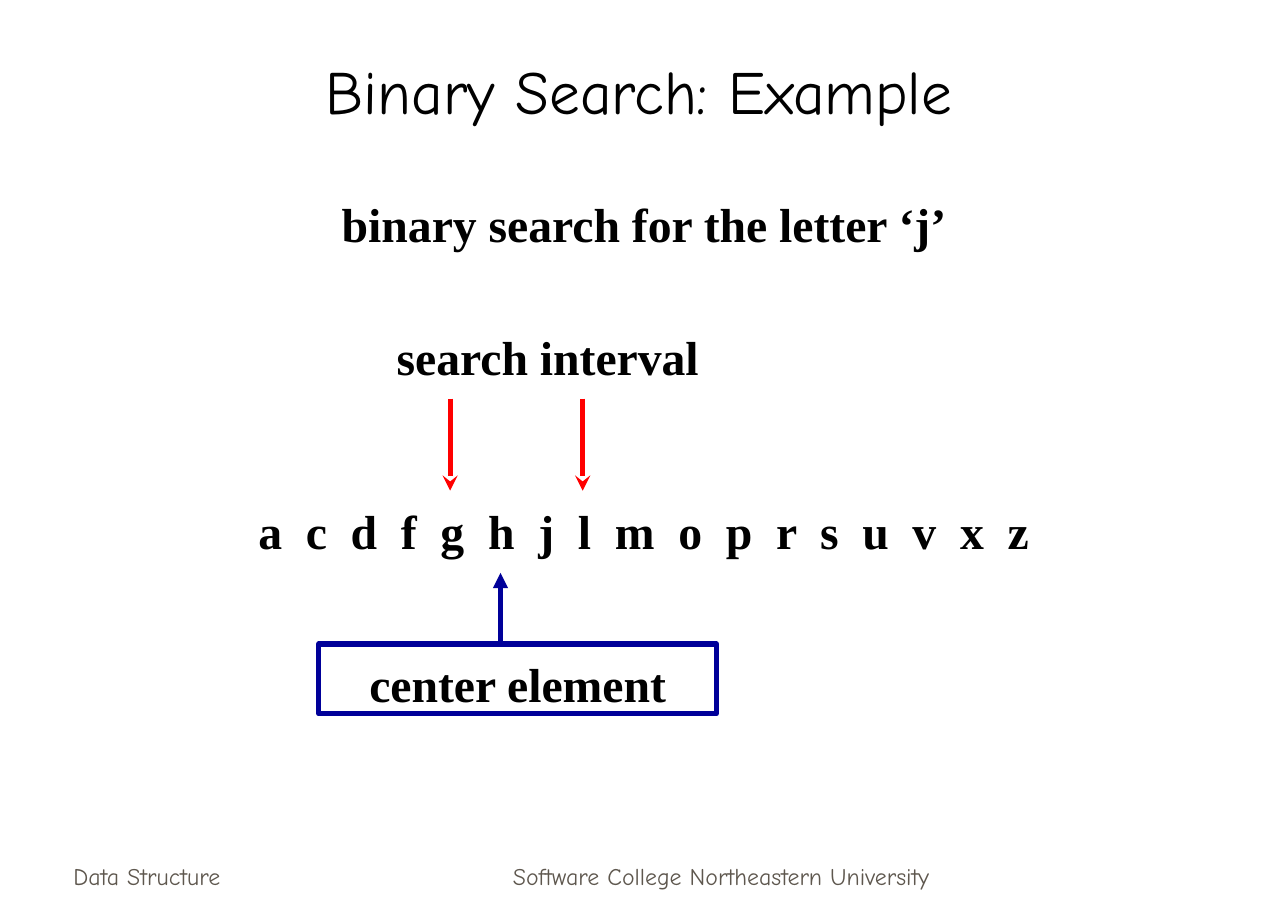
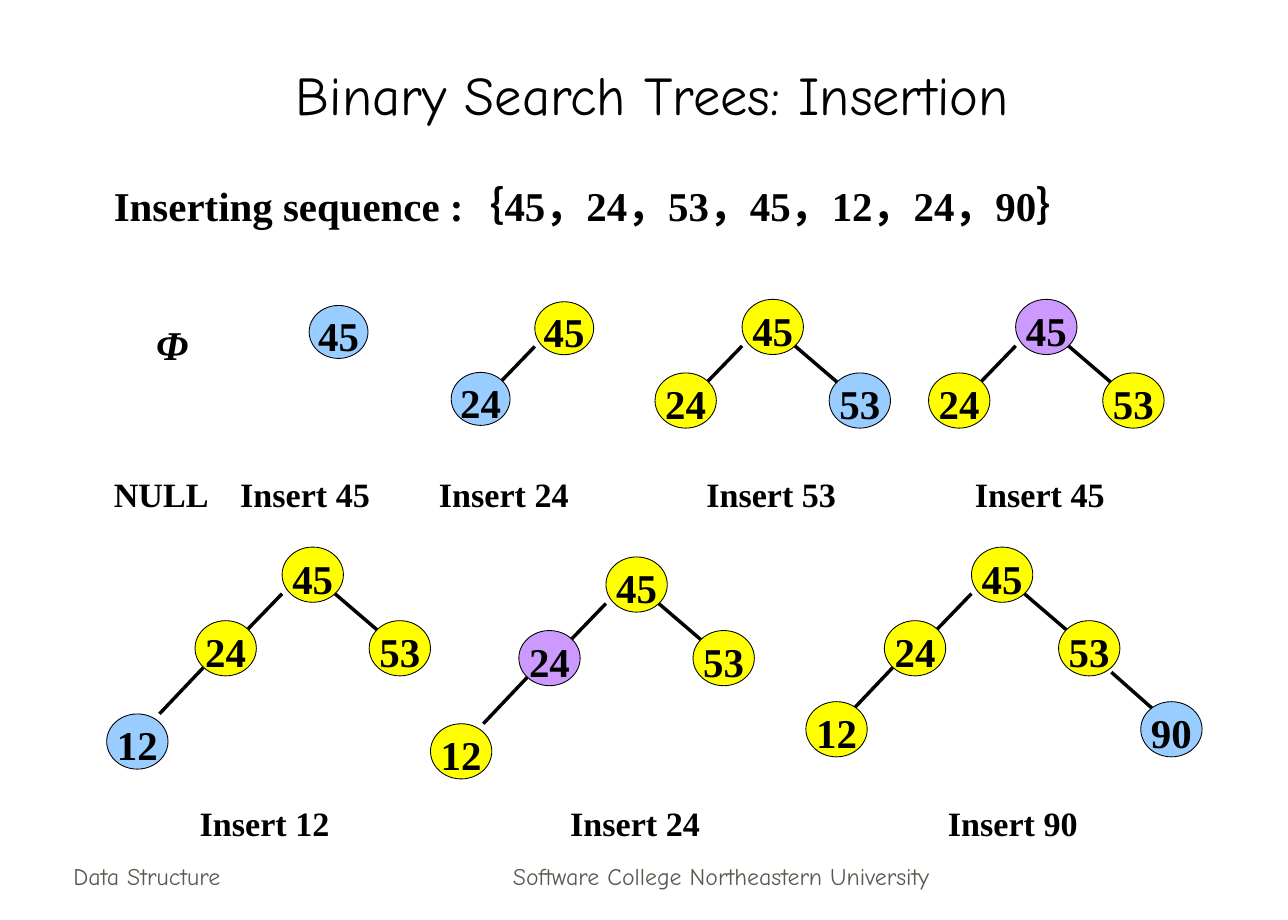
from lxml import etree
from pptx import Presentation
from pptx.dml.color import RGBColor
from pptx.enum.shapes import MSO_CONNECTOR, MSO_SHAPE
from pptx.enum.text import MSO_ANCHOR as ANCHOR, MSO_AUTO_SIZE, PP_ALIGN as ALIGN
from pptx.oxml.ns import qn
from pptx.util import Inches, Pt

BLACK = RGBColor(0x00, 0x00, 0x00)
GRAY = RGBColor(0x5E, 0x57, 0x4E)
RED = RGBColor(0xFF, 0x00, 0x00)
NAVY = RGBColor(0x00, 0x00, 0x99)
YELLOW = RGBColor(0xFF, 0xFF, 0x00)
BLUE = RGBColor(0x99, 0xCC, 0xFF)
PURPLE = RGBColor(0xCC, 0x99, 0xFF)

HAND = "Comic Neue"
SERIF = "Times New Roman"

# Tree positions, measured from the root's top left corner
NODE_SIZE = (0.5, 0.45)
SPOTS = {"root": (0, 0), "left": (-0.71, 0.6), "right": (0.71, 0.6),
         "far left": (-1.43, 1.36), "near left": (-1.35, 1.26),
         "far right": (1.38, 1.26)}
LOWER_LEFT_EDGE = (-0.64, 0.98, -1, 1.36)
EDGES = {"left": (0, 0.38, -0.29, 0.68), "right": (0.43, 0.38, 0.78, 0.68),
         "far left": LOWER_LEFT_EDGE, "near left": LOWER_LEFT_EDGE,
         "far right": (1.14, 1.02, 1.49, 1.33)}


def write(frame, text, size=24, font=SERIF, color=BLACK, bold=True, italic=False,
          align=ALIGN.CENTER, anchor=ANCHOR.TOP, wrap=True, top=0.05, bottom=0.05,
          tabs=(), spacing=0):
    """Fill a text frame with one formatted paragraph."""
    frame.auto_size = MSO_AUTO_SIZE.NONE
    frame.word_wrap = wrap
    frame.vertical_anchor = anchor
    frame.margin_top, frame.margin_bottom = Inches(top), Inches(bottom)
    paragraph = frame.paragraphs[0]
    paragraph.alignment = align
    if tabs:
        stops = etree.SubElement(paragraph._p.get_or_add_pPr(), qn("a:tabLst"))
        for stop in tabs:
            etree.SubElement(stops, qn("a:tab"), pos=str(Inches(stop)), algn="l")
    run = paragraph.add_run()
    run.text = text
    run.font.name, run.font.size = font, Pt(size)
    run.font.bold, run.font.italic = bold, italic
    run.font.color.rgb = color
    if spacing:
        run._r.get_or_add_rPr().set("spc", str(int(spacing * 100)))


class Deck:
    """Shared style and the slide being built."""

    def __init__(self):
        self.prs = Presentation()
        self.prs.slide_width, self.prs.slide_height = Inches(10.5), Inches(7.5)
        self.slide = None

    def new_slide(self, title, box, size):
        self.slide = self.prs.slides.add_slide(self.prs.slide_layouts[5])
        self.text(0.5, 6.81, 2.19, 0.5, "Data Structure", size=14, font=HAND,
                  color=GRAY, bold=False, align=ALIGN.LEFT, anchor=ANCHOR.BOTTOM)
        self.text(3.59, 6.81, 4.58, 0.5, "Software College Northeastern University",
                  size=14, font=HAND, color=GRAY, bold=False, anchor=ANCHOR.BOTTOM)
        heading = self.slide.shapes.title
        heading.left, heading.top, heading.width, heading.height = map(Inches, box)
        write(heading.text_frame, title, size=size, font=HAND, bold=False,
              anchor=ANCHOR.BOTTOM)

    def text(self, x, y, w, h, words, **fmt):
        box = self.slide.shapes.add_textbox(*map(Inches, (x, y, w, h)))
        write(box.text_frame, words, **fmt)

    def shape(self, kind, x, y, w, h, words, fill, line, width, **fmt):
        shape = self.slide.shapes.add_shape(kind, *map(Inches, (x, y, w, h)))
        shape.shadow.inherit = False
        if fill is None:
            shape.fill.background()
        else:
            shape.fill.solid()
            shape.fill.fore_color.rgb = fill
        shape.line.color.rgb, shape.line.width = line, Pt(width)
        write(shape.text_frame, words, **fmt)

    def line(self, x1, y1, x2, y2, color=BLACK, width=2, head=None):
        line = self.slide.shapes.add_connector(
            MSO_CONNECTOR.STRAIGHT, *map(Inches, (x1, y1, x2, y2)))
        line.line.color.rgb, line.line.width = color, Pt(width)
        if head:
            etree.SubElement(line.line._get_or_add_ln(), qn("a:tailEnd"), type=head)
        etree.SubElement(line._element.spPr, qn("a:effectLst"))

    def tree(self, x, y, nodes, scale=1):
        """Draw the edges, then the nodes: {spot: (key, fill)}."""
        for spot in nodes:
            if spot in EDGES:
                x1, y1, x2, y2 = (scale * d for d in EDGES[spot])
                self.line(x + x1, y + y1, x + x2, y + y2)
        w, h = (scale * side for side in NODE_SIZE)
        for spot, (key, fill) in nodes.items():
            dx, dy = (scale * d for d in SPOTS[spot])
            self.shape(MSO_SHAPE.OVAL, x + dx, y + dy, w, h, key, fill, BLACK, 0.5,
                       anchor=ANCHOR.MIDDLE, wrap=False, top=0.05, bottom=0)

    def captions(self, x, y, labels, tabs):
        self.text(x, y, 9, 0.55, "\t".join(labels), size=20, align=ALIGN.LEFT,
                  anchor=ANCHOR.MIDDLE, tabs=tabs)


def search_slide(deck):
    deck.new_slide("Binary Search: Example", (0.75, 0.33, 8.92, 0.75), 36)
    label = dict(size=28, top=0.09)
    deck.text(0.96, 1.5, 8.58, 0.57, "binary search for the letter ‘j’", **label)
    deck.text(0.96, 4, 8.58, 0.57, " ".join("acdfghjlmoprsuvxz"), spacing=3.5, **label)

    # Search interval
    deck.text(2.89, 2.58, 3.15, 0.57, "search interval", **label)
    for bound in (3.67, 4.75):
        deck.line(bound, 3.25, bound, 4, RED, 3, "stealth")

    # Center element
    deck.shape(MSO_SHAPE.RECTANGLE, 2.6, 5.25, 3.24, 0.57, "center element",
               None, NAVY, 3, **label)
    deck.line(4.08, 5.25, 4.08, 4.67, NAVY, 3, "triangle")


def insertion_slide(deck):
    deck.new_slide("Binary Search Trees: Insertion", (0.47, 0.25, 9.7, 0.83), 32)
    deck.text(0.83, 1.42, 9.33, 0.5, "Inserting sequence :｛45，24，53，45，12，24，90｝",
              align=ALIGN.JUSTIFY)
    root, left, right = ("45", YELLOW), ("24", YELLOW), ("53", YELLOW)
    full = {"root": root, "left": left, "right": right}

    # First row: from the empty tree to the repeated 45
    deck.text(0.87, 2.49, 1.07, 0.63, "Φ", italic=True, anchor=ANCHOR.MIDDLE)
    deck.tree(2.52, 2.49, {"root": ("45", BLUE)}, 0.96)
    deck.tree(4.36, 2.46, {"root": root, "left": ("24", BLUE)}, 0.96)
    deck.tree(6.05, 2.44, full | {"right": ("53", BLUE)})
    deck.tree(8.28, 2.44, full | {"root": ("45", PURPLE)})
    deck.captions(0.83, 3.75, ["NULL", "Insert 45", "Insert 24", "Insert 53", "Insert 45"],
                  (1.03, 2.65, 4.83, 7.02))

    # Second row: 12, the repeated 24, and 90
    deck.tree(2.3, 4.46, full | {"far left": ("12", BLUE)})
    deck.tree(4.94, 4.54, full | {"left": ("24", PURPLE), "far left": ("12", YELLOW)})
    deck.tree(7.92, 4.46, full | {"near left": ("12", YELLOW), "far right": ("90", BLUE)})
    deck.captions(1.53, 6.43, ["Insert 12", "Insert 24", "Insert 90"], (3.02, 6.1))


def main():
    deck = Deck()
    search_slide(deck)
    insertion_slide(deck)
    deck.prs.save("out.pptx")


if __name__ == "__main__":
    main()
